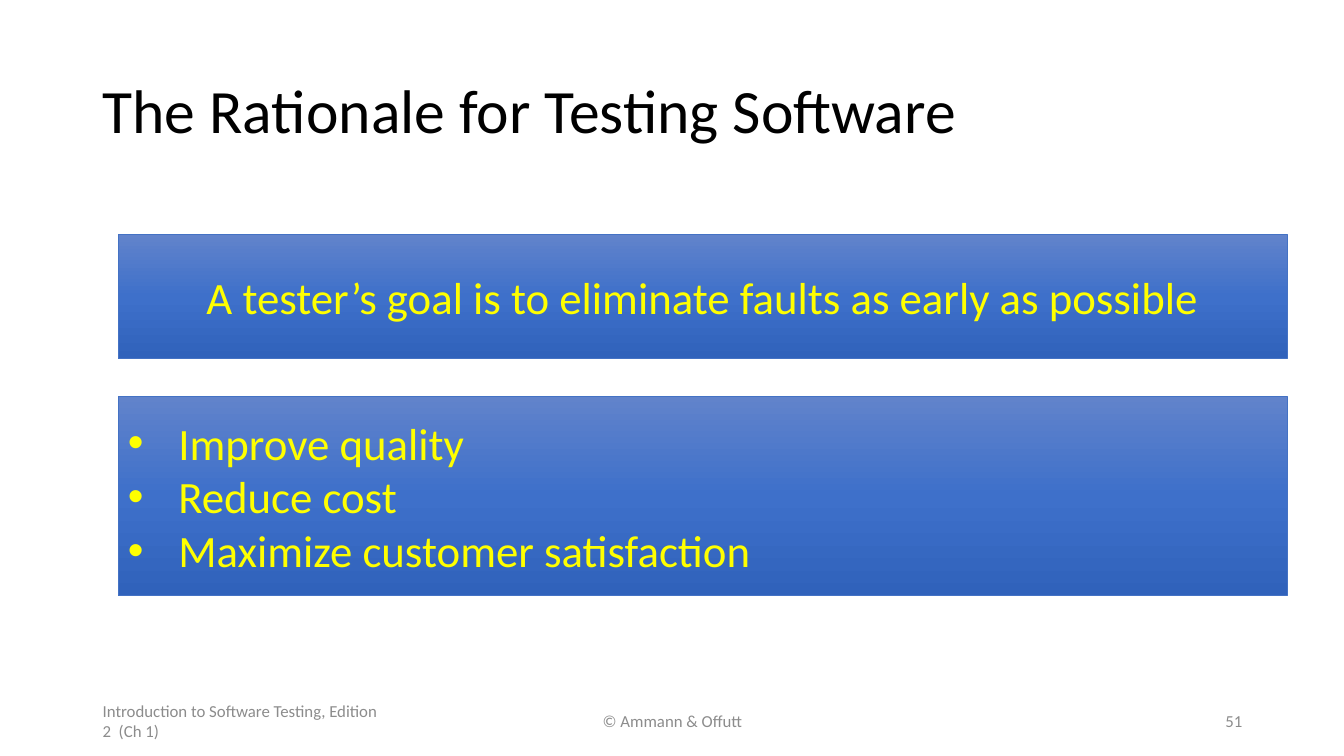
import copy

import pptx
import pptx.dml.color
import pptx.enum.shapes
import pptx.enum.text
import pptx.oxml
import pptx.oxml.ns
import pptx.util

BLACK = pptx.dml.color.RGBColor(0x00, 0x00, 0x00)
GRAY = pptx.dml.color.RGBColor(0x8C, 0x8C, 0x8C)
YELLOW = pptx.dml.color.RGBColor(0xFF, 0xFF, 0x00)
OUTLINE = pptx.dml.color.RGBColor(0x44, 0x72, 0xC4)
GRADIENT = (
    pptx.dml.color.RGBColor(0x61, 0x83, 0xCB),
    pptx.dml.color.RGBColor(0x3E, 0x70, 0xCA),
    pptx.dml.color.RGBColor(0x30, 0x62, 0xBB),
)
LEFT = pptx.enum.text.PP_ALIGN.LEFT
CENTER = pptx.enum.text.PP_ALIGN.CENTER
RIGHT = pptx.enum.text.PP_ALIGN.RIGHT


def px(count):
    """Turn whole px, 100 to the inch, into EMU."""
    return pptx.util.Emu(count * 9144)


def write(box, text, size=32, color=YELLOW, align=LEFT, bullet=None,
          spacing=None, font="Calibri"):
    """Fill a box with one formatted paragraph per line of text."""
    frame = box.text_frame
    frame.word_wrap = True
    frame.vertical_anchor = pptx.enum.text.MSO_ANCHOR.MIDDLE
    frame.text = text
    for para in frame.paragraphs:
        para.alignment = align
        if spacing:
            para.line_spacing = spacing
        if bullet:
            properties = para._p.get_or_add_pPr()
            properties.set("marL", str(px(50)))
            properties.set("indent", str(px(-50)))
            for tag, name, value in (("a:buFont", "typeface", "Arial"),
                                     ("a:buChar", "char", bullet)):
                element = pptx.oxml.xmlchemy.OxmlElement(tag)
                element.set(name, value)
                properties.append(element)
        for span in para.runs:
            span.font.name = font
            span.font.size = pptx.util.Pt(size)
            span.font.color.rgb = color


class Page:
    """Hold the deck and its current slide, and add styled elements."""

    def __init__(self, width, height):
        """Start a deck with one blank slide."""
        self.deck = pptx.Presentation()
        self.deck.slide_width = px(width)
        self.deck.slide_height = px(height)
        self.slide = self.deck.slides.add_slide(self.deck.slide_layouts[6])

    def label(self, place, text, **style):
        """Add a text box."""
        box = self.slide.shapes.add_textbox(*map(px, place))
        write(box, text, **style)

    def panel(self, place, text, **style):
        """Add a rectangle with the blue gradient."""
        box = self.slide.shapes.add_shape(
            pptx.enum.shapes.MSO_SHAPE.RECTANGLE, *map(px, place))
        box.shadow.inherit = False
        box.fill.gradient()
        box.fill.gradient_angle = 270
        stop_list = box._element.spPr.find(
            ".//" + pptx.oxml.ns.qn("a:gsLst"))
        stop_list.insert(1, copy.deepcopy(stop_list[0]))
        for index, stop in enumerate(box.fill.gradient_stops):
            stop.position = index / 2
            stop.color.rgb = GRADIENT[index]
        box.line.color.rgb = OUTLINE
        box.line.width = pptx.util.Pt(0.5)
        write(box, text, **style)


def main():
    """Build and save the slide."""
    page = Page(1333, 750)
    page.label((92, 40, 1150, 145), "The Rationale for Testing Software",
               size=44, color=BLACK, spacing=0.9)
    for left, width, text, align in (
        (92, 300, "Introduction to Software Testing, Edition 2  (Ch 1)", LEFT),
        (442, 450, "© Ammann & Offutt", CENTER),
        (942, 300, "51", RIGHT),
    ):
        page.label((left, 695, width, 40), text,
                   size=12, color=GRAY, align=align)
    page.panel((117, 233, 1160, 123),
               "A tester’s goal is to eliminate faults as early as possible",
               align=CENTER)
    page.panel((117, 393, 1160, 198),
               "Improve quality\nReduce cost\nMaximize customer satisfaction",
               bullet="•")
    page.deck.save("out.pptx")


if __name__ == "__main__":
    main()
